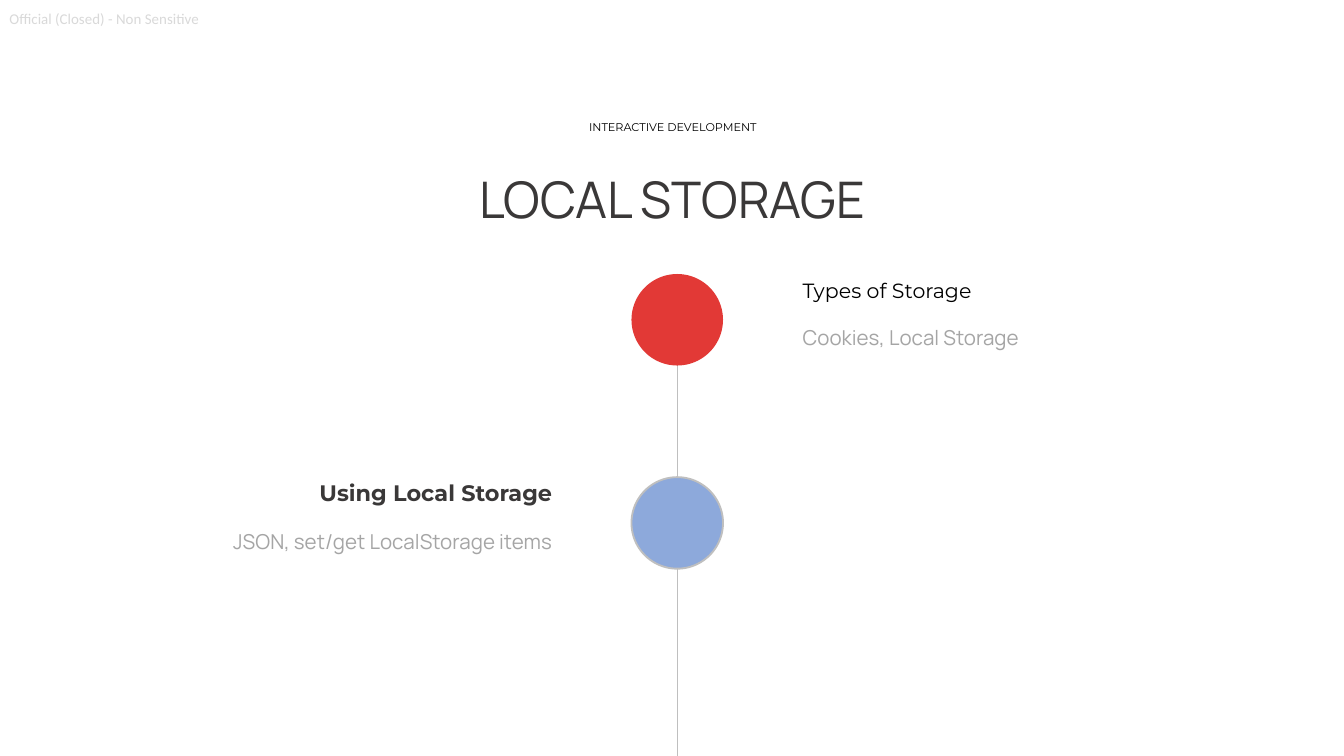
from lxml.etree import SubElement
from pptx import Presentation
from pptx.dml.color import RGBColor
from pptx.enum.shapes import MSO_CONNECTOR as Connector, MSO_SHAPE as Shape
from pptx.enum.text import MSO_ANCHOR as Anchor, MSO_AUTO_SIZE as AutoSize, PP_ALIGN as Align
from pptx.oxml.ns import qn
from pptx.util import Cm, Pt

DARK, BLACK, GREY, PALE, RULE = "3A3838", "000000", "A5A5A5", "D9D9D9", "BFBFBF"
HEADING, BODY, LABEL = "Montserrat", "Manrope", "Calibri"


def color(value):
    """Turn a hex string into a colour."""
    return RGBColor.from_string(value)


class TimelineSlide:
    """Hold the timeline style and the current slide."""

    axis = 12.8
    diameter = 1.73

    def __init__(self, deck):
        """Add a title-only slide to the deck."""
        self.page = deck.slides.add_slide(deck.slide_layouts[5])

    def place(self, box, left, top, width, height, inset=0.1):
        """Position a text shape and set its frame."""
        box.left, box.top, box.width, box.height = map(Cm, (left, top, width, height))
        frame = box.text_frame
        frame.word_wrap = True
        frame.auto_size = AutoSize.NONE
        frame.vertical_anchor = Anchor.TOP
        frame.margin_left = frame.margin_right = Cm(0.18)
        frame.margin_top = frame.margin_bottom = Cm(inset)
        return frame

    def add_span(self, para, text, font, size, ink, align=Align.LEFT, spacing=1.0, bold=False):
        """Add one styled run to a paragraph."""
        para.alignment = align
        para.line_spacing = spacing
        span = para.add_run()
        span.text = text
        span.font.name = font
        span.font.size = Pt(size)
        span.font.bold = bold
        span.font.color.rgb = color(ink)

    def title(self, text, *area):
        """Format the title placeholder."""
        frame = self.place(self.page.shapes.title, *area)
        self.add_span(frame.paragraphs[0], text, BODY, 27, DARK, Align.CENTER, 1.06)

    def label(self, text, area, font, size, ink, align=Align.LEFT, inset=0.1):
        """Add a single-line text box."""
        frame = self.place(self.page.shapes.add_textbox(0, 0, 0, 0), *area, inset)
        self.add_span(frame.paragraphs[0], text, font, size, ink, align)

    def topic(self, heading, detail, area, size, ink, align=Align.LEFT, bold=False):
        """Add a heading with its detail line."""
        frame = self.place(self.page.shapes.add_textbox(0, 0, 0, 0), *area)
        self.add_span(frame.paragraphs[0], heading, HEADING, size, ink, align, 0.9, bold)
        para = frame.add_paragraph()
        para.space_before = Pt(8)
        self.add_span(para, detail, BODY, 11, GREY, align, 1.29)

    def line(self, top, bottom):
        """Add a vertical piece of the timeline."""
        ends = map(Cm, (self.axis, top, self.axis, bottom))
        line = self.page.shapes.add_connector(Connector.STRAIGHT, *ends)
        line.line.color.rgb = color(RULE)
        line.line.width = Pt(0.75)
        SubElement(line._element.spPr, qn("a:effectLst"))

    def marker(self, top, fill, outlined=False):
        """Add a circle centred on the timeline."""
        left = self.axis - self.diameter / 2
        circle = self.page.shapes.add_shape(
            Shape.OVAL, Cm(left), Cm(top), Cm(self.diameter), Cm(self.diameter))
        circle.shadow.inherit = False
        circle.fill.solid()
        circle.fill.fore_color.rgb = color(fill)
        if outlined:
            circle.line.color.rgb = color(RULE)
            circle.line.width = Pt(1)
        else:
            circle.line.fill.background()


def main():
    """Build and save the slide."""
    deck = Presentation()
    deck.slide_width, deck.slide_height = Cm(25.4), Cm(14.29)
    slide = TimelineSlide(deck)
    first, second = 5.18, 9.02

    slide.title("LOCAL STORAGE", 5.44, 3, 14.53, 1.98)
    slide.label("INTERACTIVE DEVELOPMENT", (7.9, 2.18, 9.63, 0.46), HEADING, 6, BLACK, Align.CENTER)
    slide.label("Official (Closed) - Non Sensitive", (0, 0, 4.11, 0.58), LABEL, 8, PALE, inset=0.18)
    slide.line(6.38, 9.55)
    slide.line(second + slide.diameter, 14.29)
    slide.marker(first, "E23936")
    slide.marker(second, "8DA9DB", outlined=True)
    slide.topic("Types of Storage", "Cookies, Local Storage",
                (14.99, 5.2, 6.35, 2.97), 11, BLACK)
    slide.topic("Using Local Storage", "JSON, set/get LocalStorage items",
                (1.96, second, 8.66, 2.97), 12, DARK, Align.RIGHT, bold=True)
    deck.save("out.pptx")


if __name__ == "__main__":
    main()
